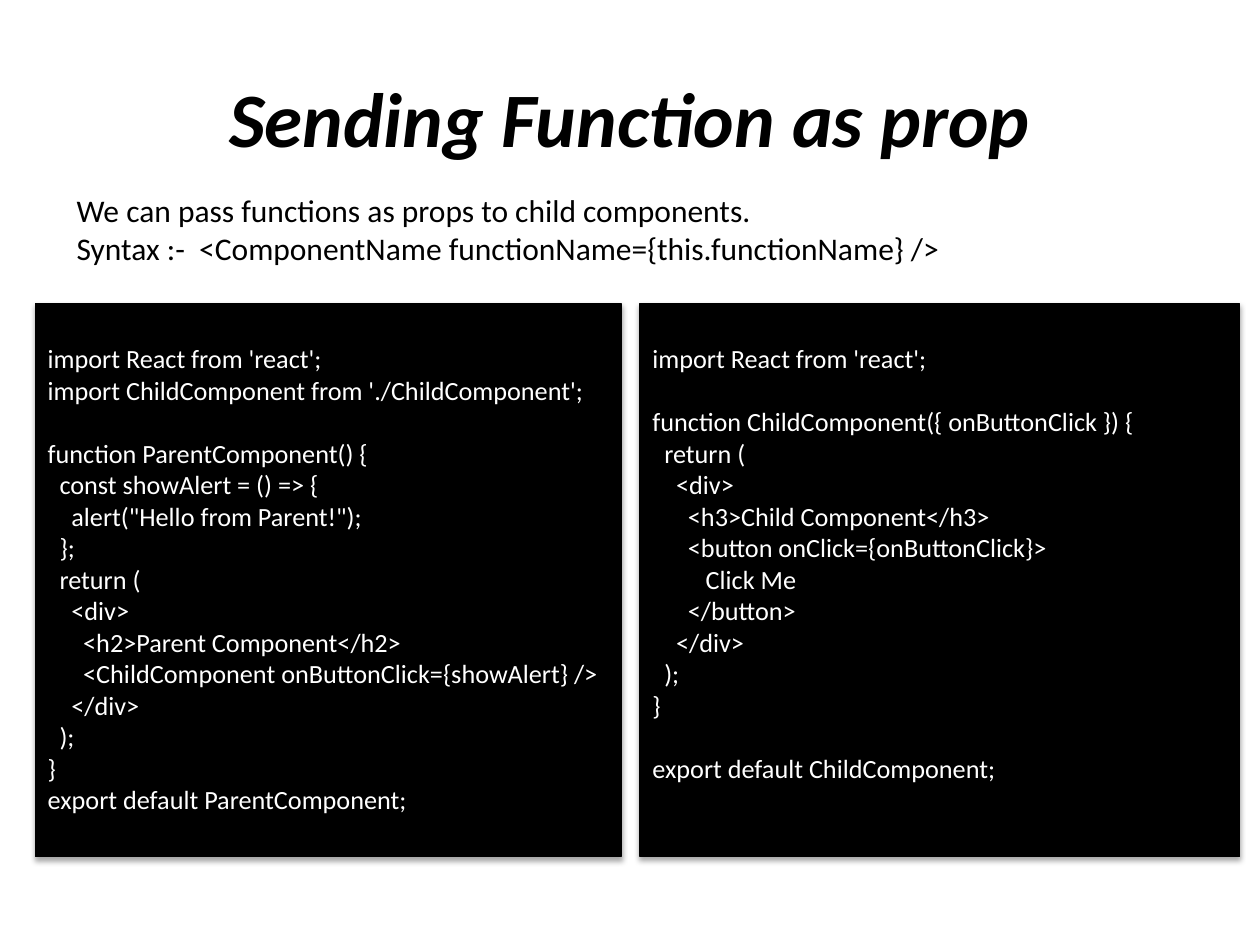
from dataclasses import dataclass

from pptx import Presentation
from pptx.dml.color import RGBColor
from pptx.enum.shapes import MSO_SHAPE
from pptx.enum.text import MSO_ANCHOR, PP_ALIGN
from pptx.util import Inches, Pt

RECT = MSO_SHAPE.RECTANGLE
TOP, MIDDLE = MSO_ANCHOR.TOP, MSO_ANCHOR.MIDDLE
LEFT, CENTER = PP_ALIGN.LEFT, PP_ALIGN.CENTER


@dataclass(frozen=True)
class Theme:
    font: str = "Calibri"
    ink: RGBColor = RGBColor(0x00, 0x00, 0x00)
    paper: RGBColor = RGBColor(0xFF, 0xFF, 0xFF)
    title: int = 44
    body: int = 18
    code: int = 15


T = Theme()
LINE_GAP = Pt(18)          # one empty code line
COLUMN = Inches(0.047)     # width of one code column

# Each code line is (indent in columns, text); blocks are set apart by a gap
PARENT_CODE = [
    [(0, "import React from 'react';"),
     (0, "import ChildComponent from './ChildComponent';")],
    [(0, "function ParentComponent() {"),
     (2, "const showAlert = () => {"),
     (4, 'alert("Hello from Parent!");'),
     (2, "};"),
     (2, "return ("),
     (4, "<div>"),
     (6, "<h2>Parent Component</h2>"),
     (6, "<ChildComponent onButtonClick={showAlert} />"),
     (4, "</div>"),
     (2, ");"),
     (0, "}"),
     (0, "export default ParentComponent;")],
]
CHILD_CODE = [
    [(0, "import React from 'react';")],
    [(0, "function ChildComponent({ onButtonClick }) {"),
     (2, "return ("),
     (4, "<div>"),
     (6, "<h3>Child Component</h3>"),
     (6, "<button onClick={onButtonClick}>"),
     (9, "Click Me"),
     (6, "</button>"),
     (4, "</div>"),
     (2, ");"),
     (0, "}")],
    [(0, "export default ChildComponent;")],
]


def add_line(tf, text, size, color, align=LEFT):
    """Write one paragraph, using the empty first one if it is free."""
    p = tf.paragraphs[0]
    if p.runs:
        p = tf.add_paragraph()
    p.alignment = align
    r = p.add_run()
    r.text = text
    r.font.name, r.font.size = T.font, Pt(size)
    r.font.color.rgb = color
    return p


prs = Presentation()
prs.slide_width, prs.slide_height = Inches(10), Inches(7.5)
s = prs.slides.add_slide(prs.slide_layouts[5])

# Title
title = s.shapes.title
title.left, title.top = Inches(0.5), Inches(0.3)
title.width, title.height = Inches(9), Inches(1.25)
tf = title.text_frame
tf.vertical_anchor = MIDDLE
p = add_line(tf, "Sending Function as prop", T.title, T.ink, CENTER)
p.runs[0].font.bold = p.runs[0].font.italic = True

# Introduction
tf = s.shapes.add_textbox(Inches(0.51), Inches(1.47), Inches(8.98), Inches(0.71)).text_frame
tf.word_wrap = True
for text in ("We can pass functions as props to child components.",
             "Syntax :-  <ComponentName functionName={this.functionName} />"):
    add_line(tf, text, T.body, T.ink)

# Code panels, which keep the theme's soft shadow
for left, width, blocks in ((0.28, 4.65, PARENT_CODE), (5.08, 4.76, CHILD_CODE)):
    sp = s.shapes.add_shape(RECT, Inches(left), Inches(2.41), Inches(width), Inches(4.39))
    sp.fill.solid()
    sp.fill.fore_color.rgb = T.ink
    sp.line.color.rgb = T.ink
    sp.line.width = Pt(0.75)
    tf = sp.text_frame
    tf.word_wrap = True
    tf.vertical_anchor = TOP
    tf.margin_top = Inches(0.31)
    for b, block in enumerate(blocks):
        for i, (indent, text) in enumerate(block):
            p = add_line(tf, text, T.code, T.paper)
            pPr = p._p.get_or_add_pPr()
            pPr.set("marL", str(int(indent * COLUMN)))
            pPr.set("indent", "0")
            if b and i == 0:
                p.space_before = LINE_GAP

prs.save("out.pptx")
